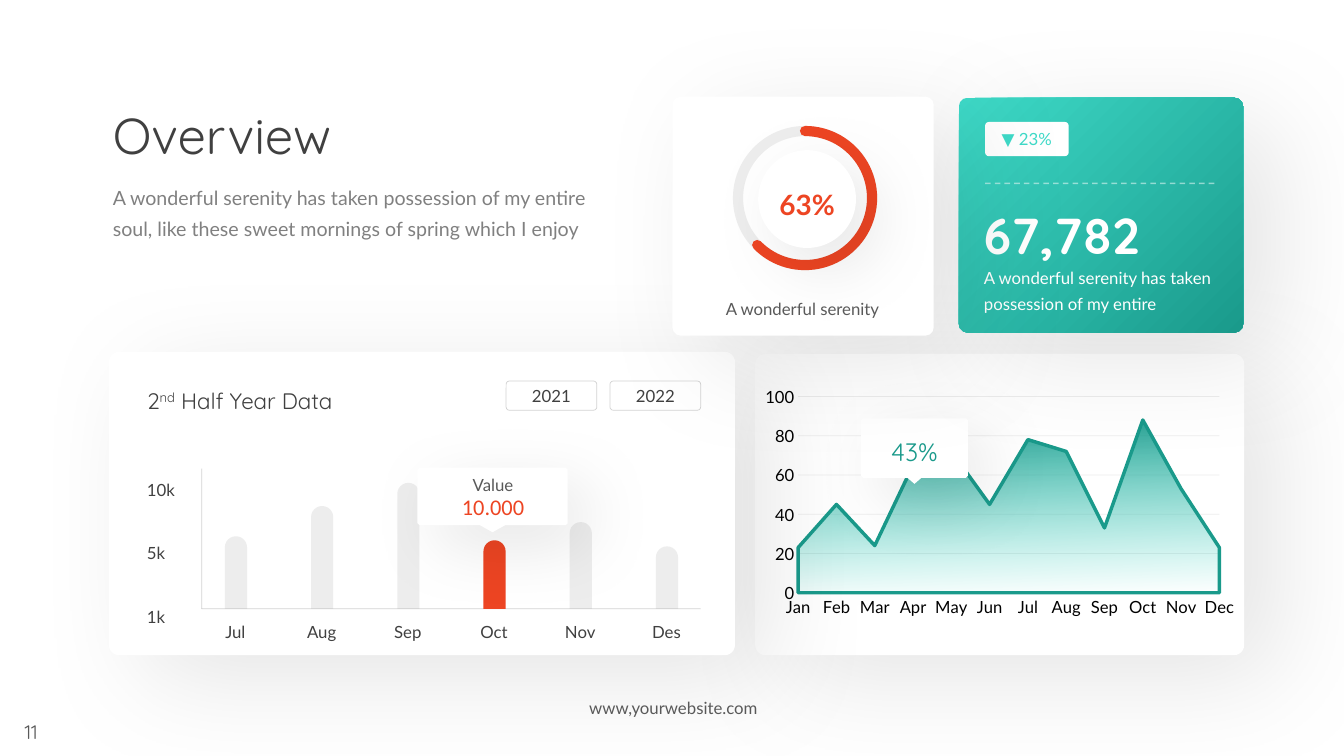
from collections import namedtuple
from lxml.etree import SubElement
from pptx import Presentation
from pptx.chart.data import CategoryChartData
from pptx.dml.color import RGBColor
from pptx.enum.chart import XL_CHART_TYPE, XL_TICK_MARK
from pptx.enum.dml import MSO_LINE
from pptx.enum.shapes import MSO_CONNECTOR, MSO_SHAPE
from pptx.enum.text import MSO_ANCHOR, MSO_AUTO_SIZE, PP_ALIGN
from pptx.oxml import parse_xml
from pptx.oxml.ns import nsdecls, qn
from pptx.util import Inches, Pt

COLORS = {"white": "FFFFFF", "dark": "404040", "body": "595959", "soft": "808080",
          "gray": "A6A6A6", "red": "ED4523", "mint": "3EDAC8", "teal": "1A9A8B", "black": "000000"}
CELL = Inches(0.1)  # the slide is a grid of 0.1 inch columns and rows
CARD_SHADOW = (80, 30, 35)  # blur, distance, angle
FLOAT_SHADOW = (50, 20, 45)
CENTER = PP_ALIGN.CENTER


class Box(namedtuple("Box", "x y w h")):
    def inset(self, x, y, w, h):
        return Box(self.x + x, self.y + y, w, h)

    def emu(self):
        return [round(n * CELL) for n in self]


def rgb(name):
    return RGBColor.from_string(COLORS[name])


def set_alpha(color, percent):
    SubElement(color, qn("a:alpha"), val=str(percent * 1000))


def add_gradient(fill, angle):
    fill.gradient()
    fill.gradient_angle = 360 - angle
    for stop, name, position in zip(fill.gradient_stops, ("mint", "teal"), (0, 1)):
        stop.color.rgb = rgb(name)
        stop.position = position


def style(shape, fill=None, fill_alpha=100, line=None, width=0.5, line_alpha=100, shadow=None):
    shape.shadow.inherit = False
    props = shape.element.spPr
    if fill == "gradient":
        add_gradient(shape.fill, 45)
    elif fill:
        shape.fill.solid()
        shape.fill.fore_color.rgb = rgb(fill)
        if fill_alpha < 100:
            set_alpha(props.xpath("a:solidFill/a:srgbClr")[0], fill_alpha)
    else:
        shape.fill.background()
    if line:
        shape.line.color.rgb = rgb(line)
        shape.line.width = Pt(width)
        if line_alpha < 100:
            set_alpha(props.xpath("a:ln//a:srgbClr")[0], line_alpha)
    else:
        shape.line.fill.background()
    if shadow:
        blur, distance, angle = shadow
        outer = SubElement(props.find(qn("a:effectLst")), qn("a:outerShdw"), blurRad=str(Pt(blur)),
                           dist=str(Pt(distance)), dir=str(angle * 60000), algn="tl", rotWithShape="0")
        set_alpha(SubElement(outer, qn("a:srgbClr"), val=COLORS["black"]), 10)


def add_shape(slide, kind, box, adjust=(), **look):
    shape = slide.shapes.add_shape(kind, *box.emu())
    for i, value in enumerate(adjust):
        shape.adjustments[i] = value
    style(shape, **look)
    return shape


def add_card(slide, box, fill="white", corner=0.034):
    add_shape(slide, MSO_SHAPE.ROUNDED_RECTANGLE, box, [corner], fill=fill, shadow=CARD_SHADOW)


def write(frame, runs, size, color, font="Lato", align=None, bold=False):
    paragraph = frame.paragraphs[0]
    paragraph.alignment = align
    for words in runs:
        run = paragraph.add_run()
        run.text = words
        run.font.size, run.font.name, run.font.bold = Pt(size), font, bold
        run.font.color.rgb = rgb(color)
    return paragraph


def add_text(slide, box, runs, size, color, spacing=1.3, anchor=MSO_ANCHOR.TOP, **look):
    label = slide.shapes.add_textbox(*box.emu())
    frame = label.text_frame
    frame.word_wrap = True
    frame.auto_size = MSO_AUTO_SIZE.SHAPE_TO_FIT_TEXT
    frame.vertical_anchor = anchor
    paragraph = write(frame, runs, size, color, **look)
    if spacing != 1:
        paragraph.line_spacing, paragraph.space_after = spacing, Pt(6)
    return label


def add_tag(slide, box, words, color, **look):
    tag = add_shape(slide, MSO_SHAPE.ROUNDED_RECTANGLE, box, [0.115], **look)
    tag.text_frame.vertical_anchor = MSO_ANCHOR.MIDDLE
    write(tag.text_frame, [words], 12, color, align=CENTER)


def add_line(slide, start, end, color, width, dash=None):
    points = [round(n * CELL) for n in (*start, *end)]
    line = slide.shapes.add_connector(MSO_CONNECTOR.STRAIGHT, *points)
    line.line.color.rgb = rgb(color)
    line.line.width = Pt(width)
    if dash:
        line.line.dash_style = dash
    props = line.element.spPr
    set_alpha(props.xpath("a:ln//a:srgbClr")[0], 50)
    SubElement(props, qn("a:effectLst"))


def add_callout(slide, box, half_pointer, pointer_drop):
    x, y, w, h = box
    middle, right, bottom, cut = x + w / 2, x + w, y + h, 0.2
    outline = [(x + cut, y), (right - cut, y), (right, y + cut), (right, bottom - cut),
               (right - cut, bottom), (middle + half_pointer, bottom), (middle, bottom + pointer_drop),
               (middle - half_pointer, bottom), (x + cut, bottom), (x, bottom - cut), (x, y + cut)]
    points = [(round(px * CELL), round(py * CELL)) for px, py in outline]
    builder = slide.shapes.build_freeform(*points[0])
    builder.add_line_segments(points[1:], close=True)
    style(builder.convert_to_shape(), fill="white", shadow=FLOAT_SHADOW)


def area_card(slide, box):
    add_card(slide, box)
    data = CategoryChartData()
    data.categories = "Jan Feb Mar Apr May Jun Jul Aug Sep Oct Nov Dec".split()
    data.add_series("Series 1", (23, 45, 24, 65, 72, 45, 78, 72, 33, 88, 53, 23))
    chart = slide.shapes.add_chart(XL_CHART_TYPE.AREA, *box.inset(1, 2.1, 46.5, 25.7).emu(), data).chart
    chart.has_legend = chart.has_title = False
    chart.font.size, chart.font.name = Pt(12), "Lato"
    chart.font.color.rgb = rgb("black")
    plot = chart.plots[0]
    plot.vary_by_categories = False
    look = plot.series[0].format
    add_gradient(look.fill, 268)
    look.line.color.rgb = rgb("teal")
    look.line.width = Pt(2.5)

    # Axes and gridlines
    months, values = chart.category_axis, chart.value_axis
    for axis in (months, values):
        axis.major_tick_mark = axis.minor_tick_mark = XL_TICK_MARK.NONE
    values.minimum_scale, values.maximum_scale, values.major_unit = 0, 100, 20
    values.tick_labels.number_format = "#,##0"
    values.tick_labels.number_format_is_linked = False
    values.format.line.fill.background()
    values.has_major_gridlines = True
    for line in (months.format.line, values.major_gridlines.format.line):
        line.color.rgb = rgb("gray")
        line.width = Pt(0.5)

    # Transparency, edge-to-edge area and fixed plot frame
    root = chart.element
    for color in root.xpath(f'.//a:srgbClr[@val="{COLORS["gray"]}"]'):
        set_alpha(color, 20)
    set_alpha(root.xpath(f'.//a:gs/a:srgbClr[@val="{COLORS["mint"]}"]')[0], 0)
    root.xpath(".//c:crossBetween")[0].set("val", "midCat")
    plot_area = root.xpath(".//c:plotArea")[0]
    for old in plot_area.xpath("c:layout"):
        plot_area.remove(old)
    frame = (("x", 0.071), ("y", 0.083), ("w", 0.91), ("h", 0.758))
    modes = '<c:layoutTarget val="inner"/><c:xMode val="edge"/><c:yMode val="edge"/>'
    sizes = "".join(f'<c:{key} val="{value}"/>' for key, value in frame)
    plot_area.insert(0, parse_xml(f'<c:layout {nsdecls("c")}><c:manualLayout>{modes}{sizes}'
                                  '</c:manualLayout></c:layout>'))
    add_callout(slide, box.inset(10.5, 6.4, 10.6, 5.9), 0.7, 0.6)
    add_text(slide, box.inset(12, 6.8, 7.6, 4.6), ["43%"], 18, "teal", font="Quicksand", align=CENTER)


def bar_card(slide, box):
    add_card(slide, box)
    heading = add_text(slide, box.inset(2.8, 2.2, 33.8, 4.2), ["2", "nd", " Half Year Data"], 16, "dark",
                       font="Quicksand")
    heading.element.xpath(".//a:rPr")[1].set("baseline", "30000")
    for i, year in enumerate(("2021", "2022")):
        add_tag(slide, box.inset(39.4 + 10.3 * i, 2.9, 9, 2.9), year, "dark", line="gray", line_alpha=50)
    for i, level in enumerate(("10k", "5k", "1k")):
        add_text(slide, box.inset(2.8, 11.6 + 6.3 * i, 6.7, 3.6), [level], 12, "dark")
    # Axes
    left, right, base = box.x + 9.2, box.x + 58.7, box.y + 25.5
    add_line(slide, (left, box.y + 11.6), (left, base), "gray", 0.5)
    add_line(slide, (right, base), (left, base), "gray", 0.5)
    # Months and bars
    pitch = 8.55
    heights = {"Jul": 7.2, "Aug": 10.2, "Sep": 12.5, "Oct": 6.8, "Nov": 8.6, "Des": 6.2}
    for i, (month, height) in enumerate(heights.items()):
        x = 9.2 + pitch * i
        add_text(slide, box.inset(x, 25.7, 6.7, 3.6), [month], 12, "dark", align=CENTER)
        look = {"fill": "red"} if month == "Oct" else {"fill": "gray", "fill_alpha": 20}
        add_shape(slide, MSO_SHAPE.ROUND_2_SAME_RECTANGLE, box.inset(x + 2.3, 25.5 - height, 2.2, height),
                  [0.5, 0], **look)
    add_callout(slide, box.inset(30.6, 11.5, 14.9, 5.7), 1.25, 0.7)
    add_text(slide, box.inset(31.4, 12.7, 13.4, 4.2), ["10.000"], 16, "red", font="Calibri", align=CENTER)
    add_text(slide, box.inset(31.4, 11.1, 13.4, 3.6), ["Value"], 12, "body", align=CENTER)


def total_card(slide, box):
    add_card(slide, box, "gradient", 0.038)
    add_text(slide, box.inset(1.5, 8.3, 25.2, 8.1), ["67,782"], 36, "white", font="Quicksand", bold=True)
    add_text(slide, box.inset(1.5, 15.8, 25.2, 5.4),
             ["A wonderful serenity has taken possession of my entire"], 12, "white")
    add_tag(slide, box.inset(2.6, 2.4, 8.3, 3.4), "▼ 23%", "mint", fill="white")
    y = box.y + 8.5
    add_line(slide, (box.x + 2.6, y), (box.x + 25.7, y), "white", 1, MSO_LINE.DASH)


def intro(slide, box):
    add_text(slide, box.inset(0, 0, box.w, 7.2), ["Overview"], 36, "dark", spacing=1, font="Quicksand")
    add_text(slide, box.inset(0, 7.5, box.w, 7), ["A wonderful serenity has taken possession of my entire soul, "
             "like these sweet mornings of spring which I enjoy"], 14, "soft")


def ring_card(slide, box):
    add_card(slide, box)
    ring = box.inset(6.5, 3.4, 13.3, 13.3)
    add_shape(slide, MSO_SHAPE.OVAL, ring, line="gray", width=7.25, line_alpha=20)
    progress = add_shape(slide, MSO_SHAPE.ARC, ring, [162, 81.32], line="red", width=7.25)
    progress.element.spPr.find(qn("a:ln")).set("cap", "rnd")
    add_shape(slide, MSO_SHAPE.OVAL, box.inset(8.5, 5.3, 9.7, 9.7), fill="white", shadow=FLOAT_SHADOW)
    add_text(slide, box.inset(8.5, 7.7, 9.7, 4.9), ["63%"], 20, "red", anchor=MSO_ANCHOR.MIDDLE,
             align=CENTER, bold=True)
    add_text(slide, box.inset(1.3, 18.9, 23.2, 3.3), ["A wonderful serenity"], 12, "body", align=CENTER)


def footer(slide, box):
    add_text(slide, box.inset(0, 2.2, 6.2, 3.4), ["11"], 14, "body", spacing=1, font="Quicksand", align=CENTER)
    add_text(slide, box.inset(54.6, 0, 24.4, 3), ["www,yourwebsite.com"], 12, "body", spacing=1, align=CENTER)


def main():
    deck = Presentation()
    deck.slide_width, deck.slide_height = Inches(13.33), Inches(7.5)
    slide = deck.slides.add_slide(deck.slide_layouts[6])
    area_card(slide, Box(74.9, 35.1, 48.5, 29.9))
    bar_card(slide, Box(10.8, 34.9, 62.1, 30.1))
    total_card(slide, Box(95.1, 9.7, 28.2, 23.3))
    intro(slide, Box(10.2, 9.8, 51.9, 14.5))
    ring_card(slide, Box(66.7, 9.6, 25.9, 23.7))
    footer(slide, Box(0, 68.7, 133.3, 6.3))
    deck.save("out.pptx")


if __name__ == "__main__":
    main()
